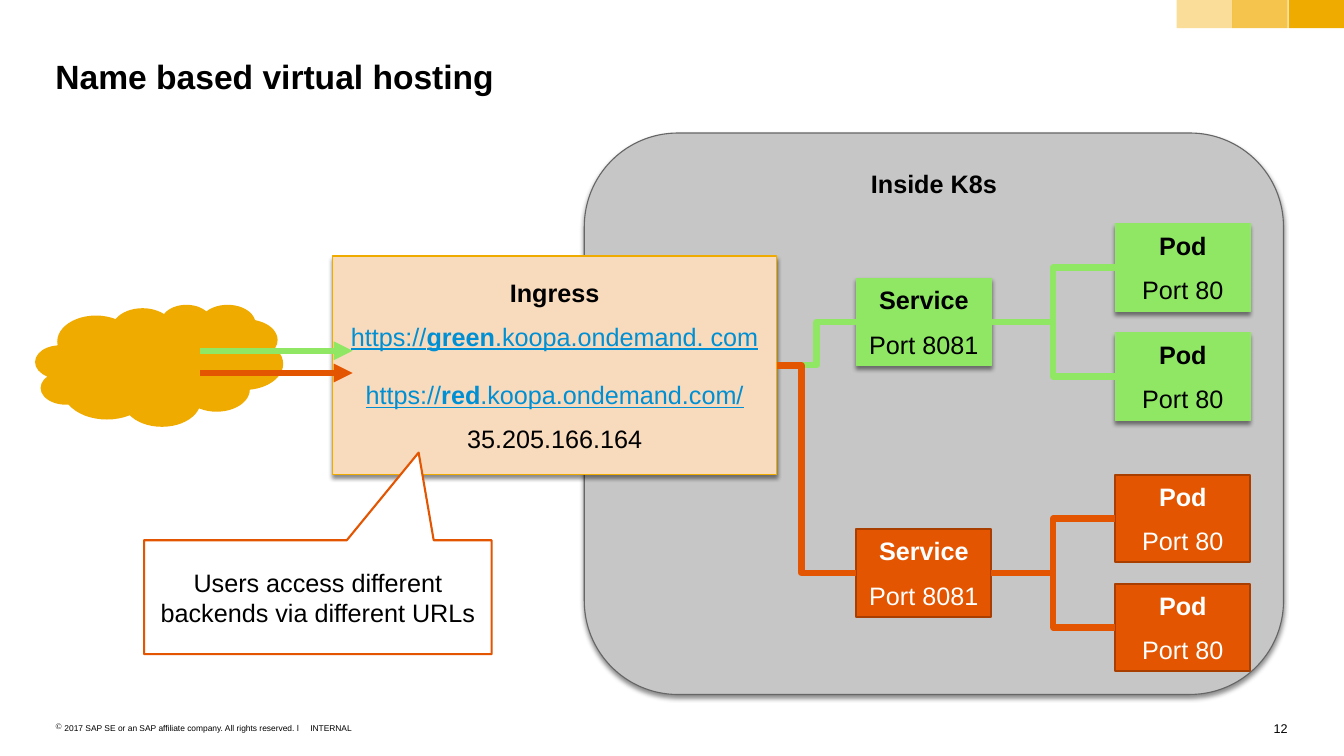
from lxml.etree import SubElement
from pptx import Presentation
from pptx.dml.color import RGBColor
from pptx.enum.shapes import MSO_CONNECTOR as Link, MSO_SHAPE as Preset
from pptx.enum.text import MSO_ANCHOR as Anchor, MSO_AUTO_SIZE as AutoSize, PP_ALIGN as Align
from pptx.oxml.ns import qn
from pptx.util import Inches, Pt

FONT = "Arial"
BLACK = RGBColor(0x00, 0x00, 0x00)
WHITE = RGBColor(0xFF, 0xFF, 0xFF)
GOLD = RGBColor(0xF0, 0xAB, 0x00)
PEACH = RGBColor(0xF8, 0xDA, 0xBD)
GRAY = RGBColor(0xC6, 0xC6, 0xC6)
DARK_GRAY = RGBColor(0x66, 0x66, 0x66)
GREEN = RGBColor(0x8F, 0xE7, 0x64)
ORANGE = RGBColor(0xE3, 0x55, 0x00)
DARK_ORANGE = RGBColor(0xA8, 0x3F, 0x00)
LINK_BLUE = RGBColor(0x00, 0x8F, 0xD3)

TOP, LEFT, BOTTOM, RIGHT = range(4)
SERVICE_LEFT, POD_LEFT = 8.5, 11.07
NODE_WIDTH, NODE_HEIGHT, POD_OFFSET = 1.34, 0.87, 0.54


def add_span(para, text, size=18, color=BLACK, bold=False, underline=False):
    span = para.add_run()
    span.text = text
    font = span.font
    font.name, font.size, font.bold, font.underline = FONT, Pt(size), bold, underline
    font.color.rgb = color


def add_para(frame, first=False, space=10, align=Align.CENTER):
    para = frame.paragraphs[0] if first else frame.add_paragraph()
    para.alignment = align
    if not first:
        para.space_before = Pt(space)
    return para


def set_margins(frame, side, end):
    frame.margin_left = frame.margin_right = Inches(side)
    frame.margin_top = frame.margin_bottom = Inches(end)


def add_shape(page, preset, place, fill, line=None, line_width=0.79, shadow=False):
    shape = page.shapes.add_shape(preset, *map(Inches, place))
    shape.shadow.inherit = False
    shape.fill.solid()
    shape.fill.fore_color.rgb = fill
    if line is None:
        shape.line.fill.background()
    else:
        shape.line.color.rgb = line
        shape.line.width = Pt(line_width)
    if shadow:
        effects = shape.element.spPr.find(qn("a:effectLst"))
        outer = SubElement(effects, qn("a:outerShdw"), blurRad=str(Pt(3)),
                           dist=str(Pt(2.4)), dir="5400000", rotWithShape="0")
        tint = SubElement(outer, qn("a:srgbClr"), val=str(BLACK))
        SubElement(tint, qn("a:alpha"), val="45000")
    frame = shape.text_frame
    frame.word_wrap = True
    frame.vertical_anchor = Anchor.MIDDLE
    set_margins(frame, 0.1, 0.08)
    return shape


def add_label(page, place, text, size, align=Align.LEFT, bullet=None):
    box = page.shapes.add_textbox(*map(Inches, place))
    box.text_frame.word_wrap = True
    set_margins(box.text_frame, 0, 0)
    para = add_para(box.text_frame, first=True, align=align)
    if bullet:
        props = para._p.get_or_add_pPr()
        props.set("marL", str(Inches(0.09)))
        props.set("indent", str(-Inches(0.09)))
        SubElement(props, qn("a:buChar"), char=bullet)
    add_span(para, text, size)


def add_line(page, kind, color, start=(0, 0), end=(0, 0)):
    line = page.shapes.add_connector(kind, *map(Inches, (*start, *end)))
    line.line.color.rgb = color
    line.line.width = Pt(4.5)
    SubElement(line.element.spPr, qn("a:effectLst"))
    return line


def add_elbow(page, source, target, color, bend=0.5):
    elbow = add_line(page, Link.ELBOW, color)
    elbow.begin_connect(source, RIGHT)
    elbow.end_connect(target, LEFT)
    guides = elbow.element.spPr.find(qn("a:prstGeom")).get_or_add_avLst()
    SubElement(guides, qn("a:gd"), name="adj1", fmla=f"val {round(bend * 100000)}")


def add_arrow(page, color, y):
    arrow = add_line(page, Link.STRAIGHT, color, (1.99, y), (3.5, y))
    SubElement(arrow.line._get_or_add_ln(), qn("a:tailEnd"), type="triangle")


def add_node(page, left, top, name, port, style):
    fill, line, line_width, color, shadow = style
    place = (left, top, NODE_WIDTH, NODE_HEIGHT)
    node = add_shape(page, Preset.RECTANGLE, place, fill, line, line_width, shadow)
    add_span(add_para(node.text_frame, first=True), name, color=color, bold=True)
    add_span(add_para(node.text_frame), port, color=color)
    return node


def add_backend(page, top, style):
    service = add_node(page, SERVICE_LEFT, top, "Service", "Port 8081", style)
    for offset in (-POD_OFFSET, POD_OFFSET):
        pod = add_node(page, POD_LEFT, top + offset, "Pod", "Port 80", style)
        add_elbow(page, service, pod, style[0])
    return service


def add_ingress(page):
    ingress = add_shape(page, Preset.RECTANGLE, (3.3, 2.54, 4.41, 2.17), PEACH, GOLD, shadow=True)
    frame = ingress.text_frame
    add_span(add_para(frame, first=True), "Ingress", bold=True)
    hosts = (("green", ".koopa.ondemand. com", 10, 0),
             ("red", ".koopa.ondemand.com/", 20, -0.2))
    for host, domain, space, indent in hosts:
        para = add_para(frame, space=space)
        para._p.get_or_add_pPr().set("indent", str(Inches(indent)))
        for text, bold in (("https://", False), (host, True), (domain, False)):
            add_span(para, text, color=LINK_BLUE, bold=bold, underline=True)
    add_span(add_para(frame), "35.205.166.164")
    return ingress


def add_callout(page):
    callout = add_shape(page, Preset.RECTANGULAR_CALLOUT, (1.43, 5.36, 3.45, 1.13),
                        WHITE, ORANGE, 1.5)
    callout.adjustments[0] = 0.29
    callout.adjustments[1] = -1.27
    add_span(add_para(callout.text_frame, first=True),
             "Users access different backends via different URLs")


def add_title(page, text):
    title = page.shapes.title
    title.left, title.top, title.width, title.height = map(Inches, (0.55, 0.55, 12.23, 0.4))
    frame = title.text_frame
    frame.auto_size = AutoSize.NONE
    frame.vertical_anchor = Anchor.TOP
    set_margins(frame, 0, 0)
    add_span(add_para(frame, first=True, align=Align.LEFT), text, 24, bold=True)


def add_frame(page):
    for left, opacity in ((12.79, 100), (12.23, 70), (11.68, 40)):
        band = add_shape(page, Preset.RECTANGLE, (left, 0, 0.55, 0.28), GOLD)
        if opacity < 100:
            color = band.element.spPr.find(qn("a:solidFill")).find(qn("a:srgbClr"))
            SubElement(color, qn("a:alpha"), val=str(opacity * 1000))
    add_label(page, (0.55, 7.17, 2.48, 0.1),
              "2017 SAP SE or an SAP affiliate company. All rights reserved. ǀ", 6, bullet="©")
    add_label(page, (3.08, 7.17, 0.6, 0.1), "INTERNAL", 6)
    add_label(page, (12.48, 7.15, 0.3, 0.15), "12", 9, Align.RIGHT)


def main():
    deck = Presentation()
    deck.slide_width, deck.slide_height = Inches(13.34), Inches(7.5)
    page = deck.slides.add_slide(deck.slide_layouts[5])
    add_frame(page)
    add_title(page, "Name based virtual hosting")

    cluster = add_shape(page, Preset.ROUNDED_RECTANGLE, (5.8, 1.32, 6.94, 5.57),
                        GRAY, DARK_GRAY, shadow=True)
    cluster.text_frame.vertical_anchor = Anchor.TOP
    add_span(add_para(cluster.text_frame, first=True), "Inside K8s", bold=True)

    green_service = add_backend(page, 2.76, (GREEN, GREEN, 0.79, BLACK, True))
    ingress = add_ingress(page)
    add_shape(page, Preset.CLOUD, (0.35, 3.02, 2.46, 1.21), GOLD)
    red_service = add_backend(page, 5.25, (ORANGE, DARK_ORANGE, 1.5, WHITE, False))
    add_callout(page)

    add_elbow(page, ingress, green_service, GREEN)
    add_elbow(page, ingress, red_service, ORANGE, 0.31)
    add_arrow(page, GREEN, 3.48)
    add_arrow(page, ORANGE, 3.7)
    deck.save("out.pptx")


if __name__ == "__main__":
    main()
